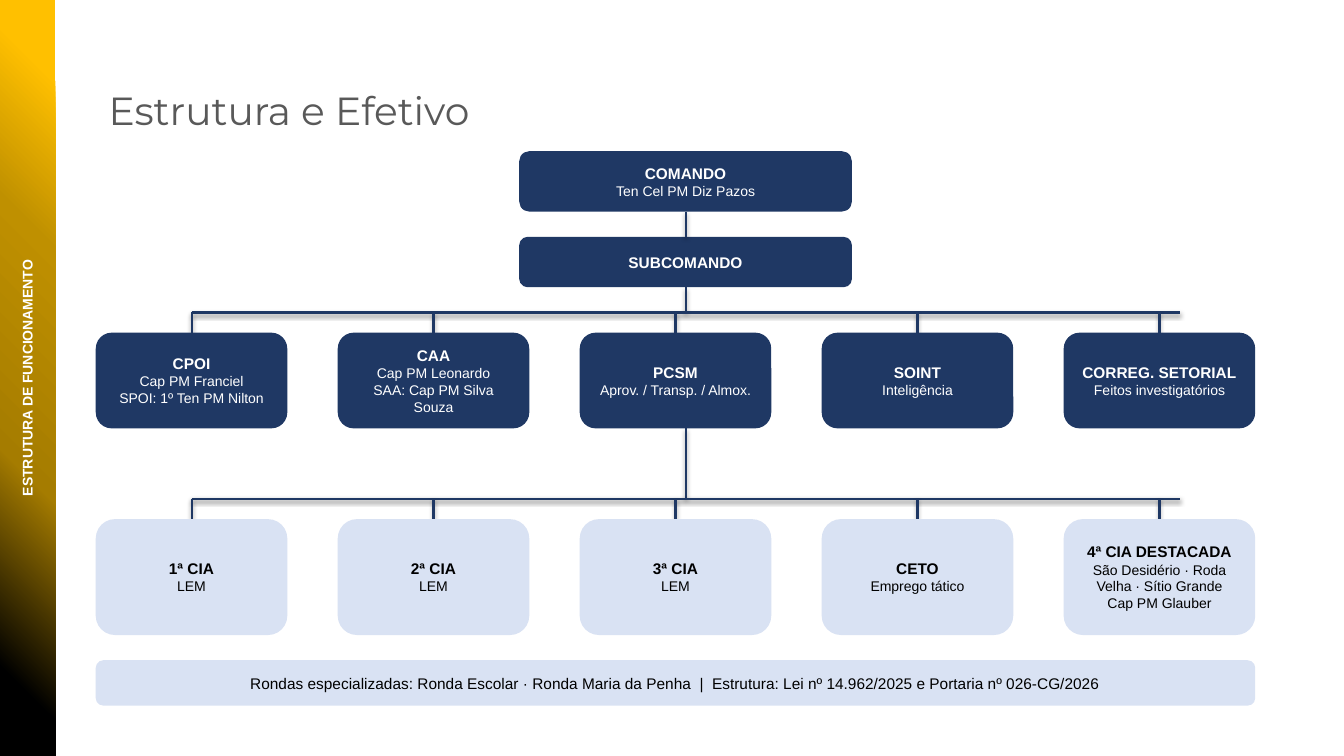
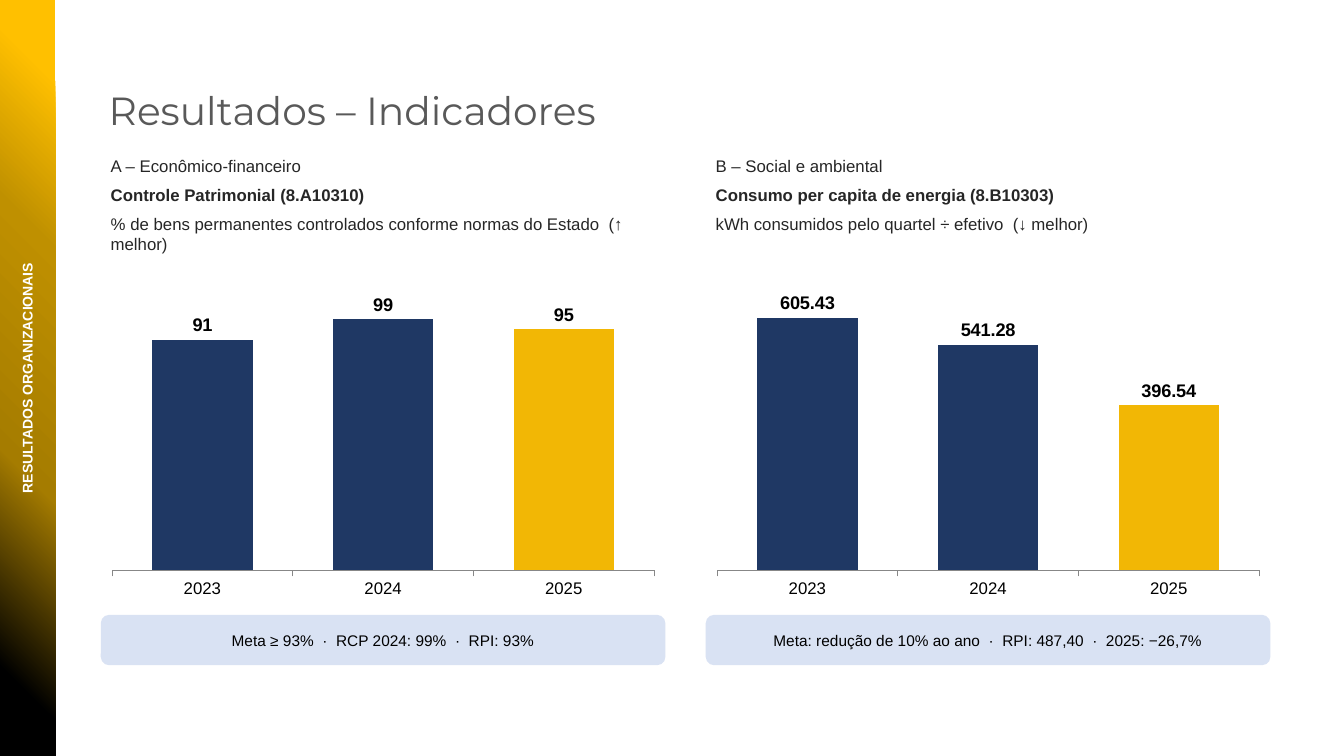
from dataclasses import dataclass

from pptx import Presentation
from pptx.chart.data import CategoryChartData
from pptx.dml.color import RGBColor
from pptx.enum.chart import XL_CHART_TYPE as ChartType, XL_LABEL_POSITION as LabelPos
from pptx.enum.chart import XL_TICK_MARK as TickMark
from pptx.enum.shapes import MSO_CONNECTOR as Connector, MSO_SHAPE as Preset
from pptx.enum.text import MSO_ANCHOR as Anchor, MSO_AUTO_SIZE as AutoSize, PP_ALIGN as Align
from pptx.oxml import parse_xml
from pptx.oxml.ns import nsdecls, qn
from pptx.slide import Slide
from pptx.text.text import Font
from pptx.util import Emu, Pt

EMU_PER_PX = 9144


@dataclass(frozen=True)
class Theme:
    navy: str = "1F3864"
    pale: str = "D9E2F3"
    gold: str = "F2B705"
    white: str = "FFFFFF"
    black: str = "000000"
    title_gray: str = "595959"
    body_gray: str = "262626"
    title_font: str = "Montserrat"
    body_font: str = "Arial"
    title_size: int = 28
    chart_size: int = 18
    value_size: int = 13
    body_size: int = 12
    label_size: int = 11
    small_size: int = 10
    line_width: float = 1.5
    sidebar_stops: tuple[tuple[int, str], ...] = (
        (0, "000000"), (11, "000000"), (38, "A57C00"),
        (69, "BF9000"), (90, "FFC000"), (100, "FFC000"),
    )


@dataclass(frozen=True)
class Area:
    left: int
    top: int
    width: int
    height: int

    def emu(self) -> tuple[Emu, ...]:
        return tuple(map(px, (self.left, self.top, self.width, self.height)))


@dataclass(frozen=True)
class Unit:
    name: str
    detail: str = ""


@dataclass(frozen=True)
class Tier:
    bus_top: int
    height: int
    fill: str
    ink: str
    units: tuple[Unit, ...]


@dataclass(frozen=True)
class Indicator:
    group: str
    name: str
    measure: str
    values: tuple[float, ...]
    number_format: str
    target: str
    axis_max: int | None = None


THEME = Theme()
YEARS = ("2023", "2024", "2025")

COMMAND_AREA = Area(515, 150, 330, 60)
SUBCOMMAND_AREA = Area(515, 235, 330, 50)
TRUNK_X = 680
BUS_LEFT, BUS_RIGHT = 190, 1170
UNIT_LEFT, UNIT_WIDTH, UNIT_PITCH = 95, 190, 240
DROP = 20

SECTIONS = Tier(310, 95, THEME.navy, THEME.white, (
    Unit("CPOI", "Cap PM Franciel\nSPOI: 1º Ten PM Nilton"),
    Unit("CAA", "Cap PM Leonardo\nSAA: Cap PM Silva Souza"),
    Unit("PCSM", "Aprov. / Transp. / Almox."),
    Unit("SOINT", "Inteligência"),
    Unit("CORREG. SETORIAL", "Feitos investigatórios"),
))
COMPANIES = Tier(495, 115, THEME.pale, THEME.black, (
    Unit("1ª CIA", "LEM"),
    Unit("2ª CIA", "LEM"),
    Unit("3ª CIA", "LEM"),
    Unit("CETO", "Emprego tático"),
    Unit("4ª CIA DESTACADA", "São Desidério · Roda Velha · Sítio Grande\nCap PM Glauber"),
))
PATROLS = (
    "Rondas especializadas: Ronda Escolar · Ronda Maria da Penha  |  "
    "Estrutura: Lei nº 14.962/2025 e Portaria nº 026-CG/2026"
)

INDICATOR_LEFT, INDICATOR_WIDTH, INDICATOR_PITCH = 100, 560, 600
INDICATORS = (
    Indicator(
        "A – Econômico-financeiro",
        "Controle Patrimonial (8.A10310)",
        "% de bens permanentes controlados conforme normas do Estado  (↑ melhor)",
        (91, 99, 95), "0", "Meta ≥ 93%  ·  RCP 2024: 99%  ·  RPI: 93%", 115,
    ),
    Indicator(
        "B – Social e ambiental",
        "Consumo per capita de energia (8.B10303)",
        "kWh consumidos pelo quartel ÷ efetivo  (↓ melhor)",
        (605.43, 541.28, 396.54), "0.00",
        "Meta: redução de 10% ao ano  ·  RPI: 487,40  ·  2025: −26,7%",
    ),
)


def px(length: int) -> Emu:
    return Emu(length * EMU_PER_PX)


def style_font(font: Font, size: int, color: str, bold: bool = False,
               face: str = THEME.body_font) -> None:
    font.name = face
    font.size = Pt(size)
    font.bold = bold
    font.color.rgb = RGBColor.from_string(color)


def add_text(slide: Slide, area: Area, text: str):
    box = slide.shapes.add_textbox(*area.emu())
    frame = box.text_frame
    frame.word_wrap = True
    frame.auto_size = AutoSize.SHAPE_TO_FIT_TEXT
    frame.text = text
    return box


def add_panel(slide: Slide, area: Area, preset: Preset, fill: str):
    panel = slide.shapes.add_shape(preset, *area.emu())
    panel.shadow.inherit = False
    panel.fill.solid()
    panel.fill.fore_color.rgb = RGBColor.from_string(fill)
    panel.line.fill.background()
    return panel


def add_card(slide: Slide, area: Area, unit: Unit, fill: str, ink: str,
             bold_name: bool = True) -> None:
    frame = add_panel(slide, area, Preset.ROUNDED_RECTANGLE, fill).text_frame
    frame.word_wrap = True
    frame.vertical_anchor = Anchor.MIDDLE
    frame.text = "\n".join(filter(None, (unit.name, unit.detail)))
    for index, paragraph in enumerate(frame.paragraphs):
        paragraph.alignment = Align.CENTER
        is_name = index == 0
        size = THEME.label_size if is_name else THEME.small_size
        style_font(paragraph.runs[0].font, size, ink, is_name and bold_name)


def add_note(slide: Slide, area: Area, text: str) -> None:
    add_card(slide, area, Unit(text), THEME.pale, THEME.black, bold_name=False)


def add_line(slide: Slide, x1: int, y1: int, x2: int, y2: int) -> None:
    link = slide.shapes.add_connector(Connector.STRAIGHT, px(x1), px(y1), px(x2), px(y2))
    link.line.color.rgb = RGBColor.from_string(THEME.navy)
    link.line.width = Pt(THEME.line_width)


def add_sidebar(slide: Slide) -> None:
    sidebar = add_panel(slide, Area(0, 0, 55, 750), Preset.RECTANGLE, THEME.black)
    stops = "".join(
        f'<a:gs pos="{position * 1000}"><a:srgbClr val="{color}"/></a:gs>'
        for position, color in THEME.sidebar_stops
    )
    gradient = parse_xml(
        f'<a:gradFill {nsdecls("a")} rotWithShape="1"><a:gsLst>{stops}</a:gsLst>'
        '<a:path path="circle"><a:fillToRect t="100000" r="100000"/></a:path></a:gradFill>'
    )
    properties = sidebar._element.spPr
    properties.replace(properties.find(qn("a:solidFill")), gradient)


def add_base_slide(deck, title: str, section: str) -> Slide:
    slide = deck.slides.add_slide(deck.slide_layouts[6])
    add_sidebar(slide)
    heading = add_text(slide, Area(98, 81, 951, 57), title)
    style_font(heading.text_frame.paragraphs[0].runs[0].font, THEME.title_size,
               THEME.title_gray, face=THEME.title_font)
    side_label = add_text(slide, Area(-266, 361, 587, 28), section)
    side_label.rotation = 270
    paragraph = side_label.text_frame.paragraphs[0]
    paragraph.alignment = Align.CENTER
    style_font(paragraph.runs[0].font, THEME.small_size, THEME.white, bold=True)
    return slide


def add_tier(slide: Slide, tier: Tier) -> None:
    add_line(slide, BUS_LEFT, tier.bus_top, BUS_RIGHT, tier.bus_top)
    card_top = tier.bus_top + DROP
    for index, unit in enumerate(tier.units):
        left = UNIT_LEFT + index * UNIT_PITCH
        center = left + UNIT_WIDTH // 2
        add_line(slide, center, tier.bus_top, center, card_top)
        add_card(slide, Area(left, card_top, UNIT_WIDTH, tier.height), unit,
                 tier.fill, tier.ink)


def add_indicator_chart(slide: Slide, area: Area, indicator: Indicator) -> None:
    data = CategoryChartData()
    data.categories = YEARS
    data.add_series("Series 1", indicator.values)
    chart = slide.shapes.add_chart(ChartType.COLUMN_CLUSTERED, *area.emu(), data).chart
    chart.has_legend = False
    chart.has_title = False
    style_font(chart.font, THEME.chart_size, THEME.black)

    years_axis = chart.category_axis
    years_axis.major_tick_mark = TickMark.OUTSIDE
    style_font(years_axis.tick_labels.font, THEME.body_size, THEME.black)
    values_axis = chart.value_axis
    values_axis.visible = False
    values_axis.has_major_gridlines = False
    values_axis.minimum_scale = 0
    if indicator.axis_max is not None:
        values_axis.maximum_scale = indicator.axis_max

    plot = chart.plots[0]
    plot.gap_width = 80
    plot.vary_by_categories = False
    columns = plot.series[0]
    latest = columns.points[len(YEARS) - 1]
    for part, color in ((columns, THEME.navy), (latest, THEME.gold)):
        part.format.fill.solid()
        part.format.fill.fore_color.rgb = RGBColor.from_string(color)
    labels = columns.data_labels
    labels.show_value = True
    labels.position = LabelPos.OUTSIDE_END
    labels.number_format = indicator.number_format
    labels.number_format_is_linked = False
    style_font(labels.font, THEME.value_size, THEME.black, bold=True)


def add_indicator(slide: Slide, left: int, indicator: Indicator) -> None:
    summary = add_text(slide, Area(left, 150, INDICATOR_WIDTH, 110),
                       "\n".join((indicator.group, indicator.name, indicator.measure)))
    for paragraph in summary.text_frame.paragraphs:
        paragraph.space_after = Pt(6)
        style_font(paragraph.runs[0].font, THEME.body_size, THEME.body_gray,
                   bold=paragraph.text == indicator.name)
    add_indicator_chart(slide, Area(left, 270, INDICATOR_WIDTH, 330), indicator)
    add_note(slide, Area(left, 610, INDICATOR_WIDTH, 50), indicator.target)


def build_structure(deck) -> None:
    slide = add_base_slide(deck, "Estrutura e Efetivo", "ESTRUTURA DE FUNCIONAMENTO")
    add_card(slide, COMMAND_AREA, Unit("COMANDO", "Ten Cel PM Diz Pazos"),
             THEME.navy, THEME.white)
    add_card(slide, SUBCOMMAND_AREA, Unit("SUBCOMANDO"), THEME.navy, THEME.white)
    sections_bottom = SECTIONS.bus_top + DROP + SECTIONS.height
    for top, bottom in (
        (COMMAND_AREA.top + COMMAND_AREA.height, SUBCOMMAND_AREA.top),
        (SUBCOMMAND_AREA.top + SUBCOMMAND_AREA.height, SECTIONS.bus_top),
        (sections_bottom, COMPANIES.bus_top),
    ):
        add_line(slide, TRUNK_X, top, TRUNK_X, bottom)
    for tier in (SECTIONS, COMPANIES):
        add_tier(slide, tier)
    add_note(slide, Area(UNIT_LEFT, 655, 1150, 45), PATROLS)


def build_results(deck) -> None:
    slide = add_base_slide(deck, "Resultados – Indicadores", "RESULTADOS ORGANIZACIONAIS")
    for index, indicator in enumerate(INDICATORS):
        add_indicator(slide, INDICATOR_LEFT + index * INDICATOR_PITCH, indicator)


def main() -> None:
    deck = Presentation()
    deck.slide_width, deck.slide_height = px(1333), px(750)
    build_structure(deck)
    build_results(deck)
    deck.save("out.pptx")


if __name__ == "__main__":
    main()
